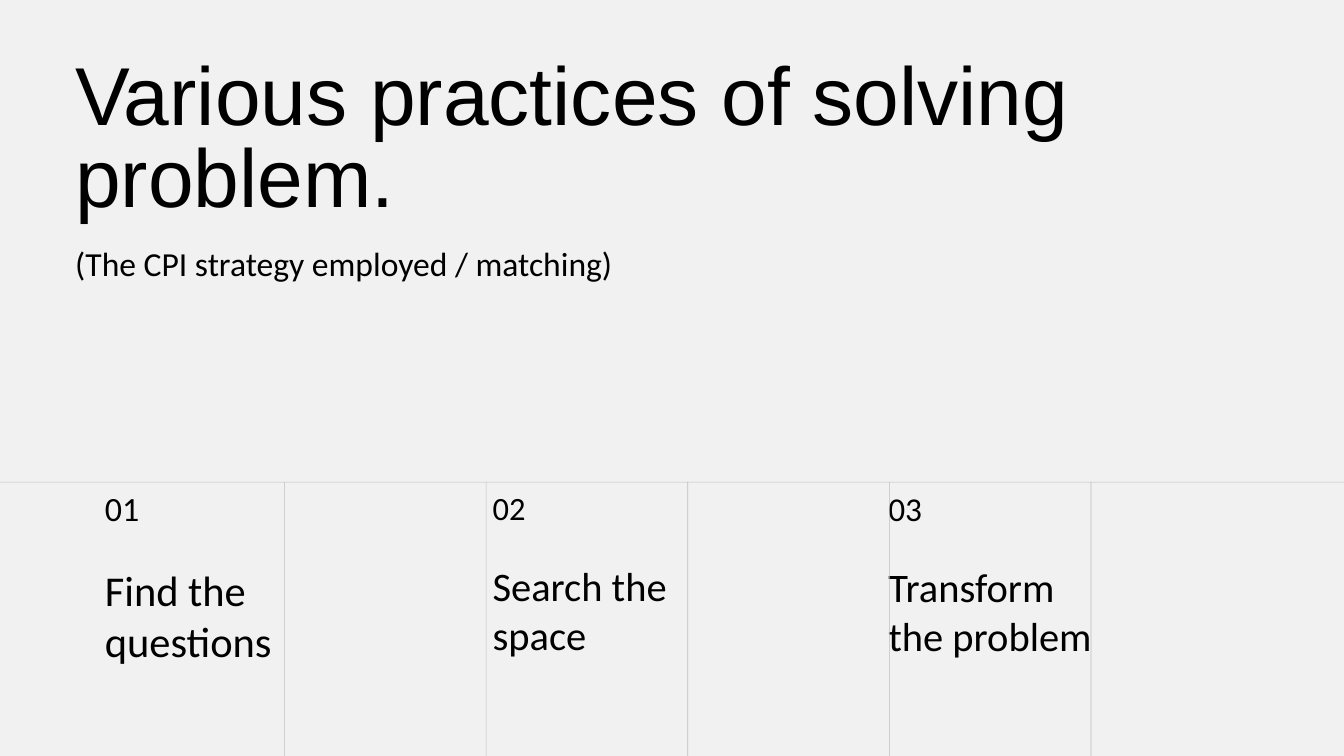
import pptx
import pptx.dml.color
import pptx.enum.shapes
import pptx.enum.text
import pptx.util
from pptx.util import Inches

RGB = pptx.dml.color.RGBColor.from_string
THEME = {
    "background": RGB("F1F1F1"), "text": RGB("000000"), "rule": RGB("BDBDBD"),
    "title_font": "Arial", "body_font": "Calibri",
    "title_size": 88, "subtitle_size": 36,
}


def set_text(sp, text, font, size, spacing):
    """Fill a box with one left-aligned paragraph; size and spacing in points."""
    tf = sp.text_frame
    tf.text = text
    tf.word_wrap = True
    tf.auto_size = pptx.enum.text.MSO_AUTO_SIZE.NONE
    tf.vertical_anchor = pptx.enum.text.MSO_ANCHOR.TOP
    tf.margin_left = tf.margin_right = tf.margin_top = tf.margin_bottom = 0
    p = tf.paragraphs[0]
    p.alignment = pptx.enum.text.PP_ALIGN.LEFT
    p.space_before = pptx.util.Pt(0)
    p.line_spacing = pptx.util.Pt(spacing)
    r = p.runs[0]
    r.font.name = font
    r.font.size = pptx.util.Pt(size)
    r.font.color.rgb = THEME["text"]


def add_rule(s, left, top, width, height):
    sp = s.shapes.add_shape(pptx.enum.shapes.MSO_SHAPE.RECTANGLE, Inches(left),
                            Inches(top), Inches(width), Inches(height))
    sp.shadow.inherit = False
    sp.fill.solid()
    sp.fill.fore_color.rgb = THEME["rule"]
    sp.line.fill.background()


prs = pptx.Presentation()
prs.slide_width = Inches(20)
prs.slide_height = Inches(11.25)
s = prs.slides.add_slide(prs.slide_layouts[5])
s.background.fill.solid()
s.background.fill.fore_color.rgb = THEME["background"]

# Heading
title = s.shapes.title
title.left, title.top = Inches(1.12), Inches(0.89)
title.width, title.height = Inches(15.64), Inches(2.55)
set_text(title, "Various practices of solving problem.",
         THEME["title_font"], THEME["title_size"], 88)
subtitle = s.shapes.add_textbox(Inches(1.12), Inches(3.62), Inches(15.64), Inches(0.6))
set_text(subtitle, "(The CPI strategy employed / matching)",
         THEME["body_font"], THEME["subtitle_size"], 43.2)

# Steps: left, width, then (text, top, height, size, line spacing) for each box
steps = [
    (1.56, 3.32, [("01", 7.26, 0.6, 36.4, 43.7),
                  ("Find the questions", 8.4, 2.24, 45.5, 54.6)]),
    (7.33, 3.22, [("02", 7.27, 0.57, 34.8, 41.7),
                  ("Search the space", 8.35, 2.13, 43.4, 52.1)]),
    (13.22, 3.08, [("03", 7.27, 0.58, 35.7, 42.8),
                   ("Transform the problem", 8.37, 2.88, 43.4, 52)]),
]
for left, width, boxes in steps:
    for text, top, height, size, spacing in boxes:
        sp = s.shapes.add_textbox(Inches(left), Inches(top), Inches(width), Inches(height))
        set_text(sp, text, THEME["body_font"], size, spacing)

# Grid rules
rule_top, thickness = 7.17, 0.01
add_rule(s, -0.06, rule_top, 20.06, thickness)
for column in range(5):
    add_rule(s, 4.23 + 3 * column, rule_top, thickness, 11.25 - rule_top)

prs.save("out.pptx")
